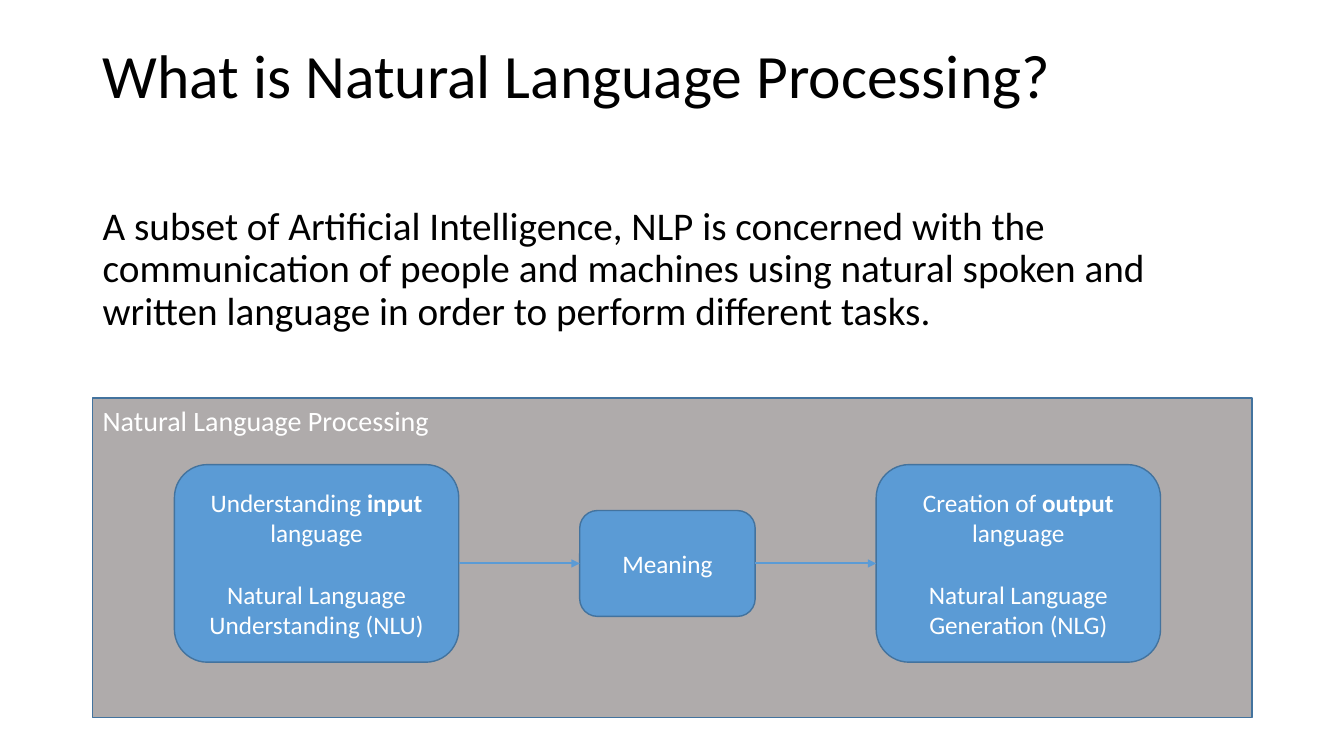
"""Build a slide that explains Natural Language Processing as a three-stage flow."""
from dataclasses import dataclass
from typing import NamedTuple

import pptx
import pptx.dml.color
import pptx.enum.shapes
import pptx.enum.text
import pptx.oxml
import pptx.oxml.ns
import pptx.util
from pptx.util import Inches

RGB = pptx.dml.color.RGBColor
Anchor = pptx.enum.text.MSO_ANCHOR
Align = pptx.enum.text.PP_ALIGN
Preset = pptx.enum.shapes.MSO_SHAPE


@dataclass(frozen=True)
class Theme:
    font: str = "Calibri"
    ink: RGB = RGB(0, 0, 0)
    white: RGB = RGB(255, 255, 255)
    panel: RGB = RGB(0xAF, 0xAB, 0xAB)
    stage: RGB = RGB(0x5B, 0x9B, 0xD5)
    outline: RGB = RGB(0x43, 0x73, 0x9E)
    title_size: int = 44
    body_size: int = 28
    panel_size: int = 20
    stage_size: int = 18
    stage_gap: int = 22
    outline_width: float = 1
    arrow_width: float = 1.5


class Segment(NamedTuple):
    text: str
    bold: bool = False


class Stage(NamedTuple):
    width: float
    height: float
    paragraphs: list[list[Segment]]


THEME = Theme()
MARGIN, CONTENT_WIDTH = 0.92, 11.5
FLOW_LEFT, FLOW_MIDDLE, FLOW_GAP = 1.73, 5.59, 1.2
STAGES = [
    Stage(2.82, 1.96, [
        [Segment("Understanding "), Segment("input ", True), Segment("language")],
        [Segment("Natural Language Understanding (NLU)")],
    ]),
    Stage(1.74, 1.05, [[Segment("Meaning")]]),
    Stage(2.82, 1.96, [
        [Segment("Creation of "), Segment("output ", True), Segment("language")],
        [Segment("Natural Language Generation (NLG)")],
    ]),
]


def style_run(run, size: int, color: RGB, bold: bool = False) -> None:
    """Apply the theme font to one run."""
    run.font.name = THEME.font
    run.font.size = pptx.util.Pt(size)
    run.font.color.rgb = color
    run.font.bold = bold


def add_heading(slide, top: float, height: float, text: str, size: int) -> None:
    """Add a full-width text box with tight line spacing."""
    heading = slide.shapes.add_textbox(
        Inches(MARGIN), Inches(top), Inches(CONTENT_WIDTH), Inches(height))
    heading.text_frame.word_wrap = True
    heading.text_frame.text = text
    paragraph = heading.text_frame.paragraphs[0]
    paragraph.line_spacing = 0.9
    style_run(paragraph.runs[0], size, THEME.ink)


def add_box(slide, preset, left: float, top: float, width: float, height: float, fill: RGB):
    """Add an outlined, filled shape."""
    box = slide.shapes.add_shape(
        preset, Inches(left), Inches(top), Inches(width), Inches(height))
    box.shadow.inherit = False
    box.fill.solid()
    box.fill.fore_color.rgb = fill
    box.line.color.rgb = THEME.outline
    box.line.width = pptx.util.Pt(THEME.outline_width)
    box.text_frame.word_wrap = True
    return box


def add_panel(slide) -> None:
    """Add the labelled panel behind the flow."""
    panel = add_box(slide, Preset.RECTANGLE, MARGIN, 3.95, CONTENT_WIDTH, 3.17, THEME.panel)
    panel.text_frame.vertical_anchor = Anchor.TOP
    panel.text_frame.text = "Natural Language Processing"
    label = panel.text_frame.paragraphs[0]
    label.alignment = Align.LEFT
    style_run(label.runs[0], THEME.panel_size, THEME.white)


def add_stage(slide, stage: Stage, left: float):
    """Add one rounded stage, centred on the flow axis."""
    box = add_box(slide, Preset.ROUNDED_RECTANGLE, left, FLOW_MIDDLE - stage.height / 2,
                  stage.width, stage.height, THEME.stage)
    frame = box.text_frame
    frame.vertical_anchor = Anchor.MIDDLE
    for index, segments in enumerate(stage.paragraphs):
        paragraph = frame.add_paragraph() if index else frame.paragraphs[0]
        paragraph.alignment = Align.CENTER
        if index:
            paragraph.space_before = pptx.util.Pt(THEME.stage_gap)
        for segment in segments:
            run = paragraph.add_run()
            run.text = segment.text
            style_run(run, THEME.stage_size, THEME.white, segment.bold)
    return box


def add_arrow(slide, source, target) -> None:
    """Connect the right side of one stage to the left side of the next."""
    arrow = slide.shapes.add_connector(pptx.enum.shapes.MSO_CONNECTOR.STRAIGHT, 0, 0, 0, 0)
    arrow.begin_connect(source, 3)
    arrow.end_connect(target, 1)
    arrow.line.color.rgb = THEME.stage
    arrow.line.width = pptx.util.Pt(THEME.arrow_width)
    properties = arrow._element.spPr
    head = pptx.oxml.parse_xml(f'<a:tailEnd {pptx.oxml.ns.nsdecls("a")} type="triangle"/>')
    properties.find(pptx.oxml.ns.qn("a:ln")).append(head)
    properties.append(pptx.oxml.parse_xml(f'<a:effectLst {pptx.oxml.ns.nsdecls("a")}/>'))


def main() -> None:
    """Assemble and save the slide."""
    deck = pptx.Presentation()
    deck.slide_width, deck.slide_height = Inches(13.33), Inches(7.5)
    slide = deck.slides.add_slide(deck.slide_layouts[6])
    add_panel(slide)
    add_heading(slide, 0.4, 1.45, "What is Natural Language Processing?", THEME.title_size)
    add_heading(
        slide, 2, 1.4,
        "A subset of Artificial Intelligence, NLP is concerned with the communication of "
        "people and machines using natural spoken and written language in order to perform "
        "different tasks.", THEME.body_size)
    left, previous = FLOW_LEFT, None
    for stage in STAGES:
        current = add_stage(slide, stage, left)
        if previous is not None:
            add_arrow(slide, previous, current)
        left += stage.width + FLOW_GAP
        previous = current
    deck.save("out.pptx")


main()
